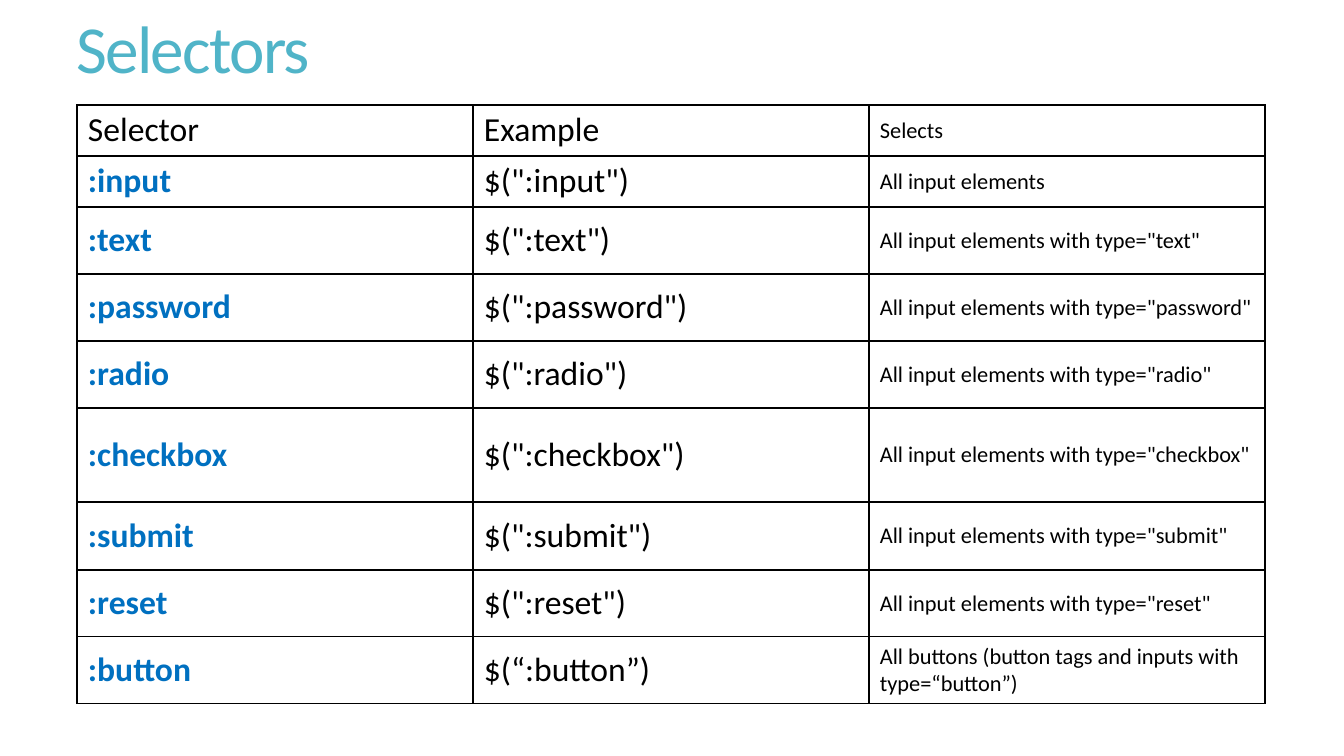
from dataclasses import dataclass
from itertools import product
from typing import NamedTuple

from lxml.etree import SubElement as Sub
from pptx import Presentation as Deck
from pptx.dml.color import RGBColor as RGB
from pptx.enum.text import MSO_ANCHOR as Anchor, MSO_AUTO_SIZE as Fit, PP_ALIGN as Align
from pptx.oxml.ns import qn
from pptx.util import Emu, Pt

SCALE = 914400 / 100.8


@dataclass(frozen=True)
class Theme:
    font: str = "Calibri"
    title: str = "50B4C8"
    key: str = "0070C0"
    ink: str = "000000"
    paper: str = "FFFFFF"
    huge: int = 48
    large: int = 24
    small: int = 16
    rule: int = 1


class Row(NamedTuple):
    key: str
    code: str
    note: str
    height: int


THEME = Theme()
WIDTH = 396


def px(count: int) -> Emu:
    return Emu(round(count * SCALE))


def entry(name: str, height: int = 67) -> Row:
    return Row(f":{name}", f'$(":{name}")',
               f'All input elements with type="{name}"', height)


def write(para, text: str, size: int, color: str, bold: bool = False):
    run = para.add_run()
    run.text = text
    font = run.font
    font.name = THEME.font
    font.size = Pt(size)
    font.bold = bold
    font.color.rgb = RGB.from_string(color)
    return run


def edge(cell) -> None:
    props = cell._tc.get_or_add_tcPr()
    for place, side in enumerate(("lnL", "lnR", "lnT", "lnB")):
        line = Sub(props, qn(f"a:{side}"), w=str(Pt(THEME.rule)))
        fill = Sub(line, qn("a:solidFill"))
        Sub(fill, qn("a:srgbClr"), val=THEME.ink)
        props.insert(place, line)


def head(slide, text: str) -> None:
    title = slide.shapes.title
    title.left, title.top, title.width, title.height = map(px, (66, 0, 1187, 105))
    frame = title.text_frame
    frame.auto_size = Fit.NONE
    frame.vertical_anchor = Anchor.MIDDLE
    para = frame.paragraphs[0]
    para.alignment = Align.LEFT
    para.line_spacing = 0.85
    run = write(para, text, THEME.huge, THEME.title)
    run._r.get_or_add_rPr().set("spc", "-120")


def grid(slide, rows: list[Row]) -> None:
    total = sum(row.height for row in rows)
    frame = slide.shapes.add_table(
        len(rows), 3, px(77), px(105), px(3 * WIDTH), px(total))
    table = frame.table
    table.first_row = table.horz_banding = False
    for col in table.columns:
        col.width = px(WIDTH)
    for line, row in zip(table.rows, rows):
        line.height = px(row.height)
    for at, col in product(range(len(rows)), range(3)):
        cell = table.cell(at, col)
        cell.fill.solid()
        cell.fill.fore_color.rgb = RGB.from_string(THEME.paper)
        cell.vertical_anchor = Anchor.MIDDLE
        cell.margin_left = cell.margin_right = px(11)
        cell.margin_top = cell.margin_bottom = px(5)
        key = at > 0 and col == 0
        write(cell.text_frame.paragraphs[0], rows[at][col],
              THEME.small if col == 2 else THEME.large,
              THEME.key if key else THEME.ink, key)
        edge(cell)


ROWS = [
    Row("Selector", "Example", "Selects", 51),
    Row(":input", '$(":input")', "All input elements", 51),
    entry("text"),
    entry("password"),
    entry("radio"),
    entry("checkbox", 94),
    entry("submit", 68),
    entry("reset"),
    Row(":button", "$(“:button”)",
        "All buttons (button tags and inputs with type=“button”)", 67),
]

deck = Deck()
deck.slide_width, deck.slide_height = px(1344), px(756)
page = deck.slides.add_slide(deck.slide_layouts[5])
head(page, "Selectors")
grid(page, ROWS)
deck.save("out.pptx")
